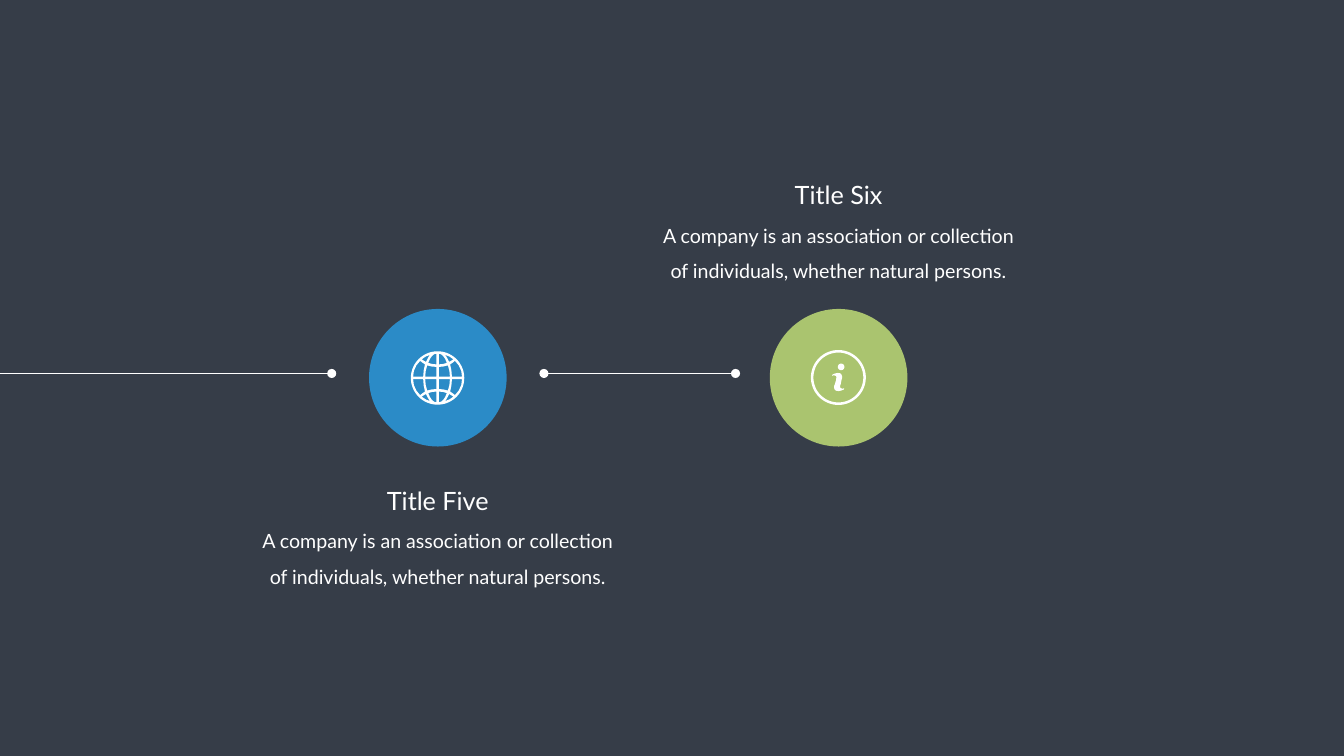
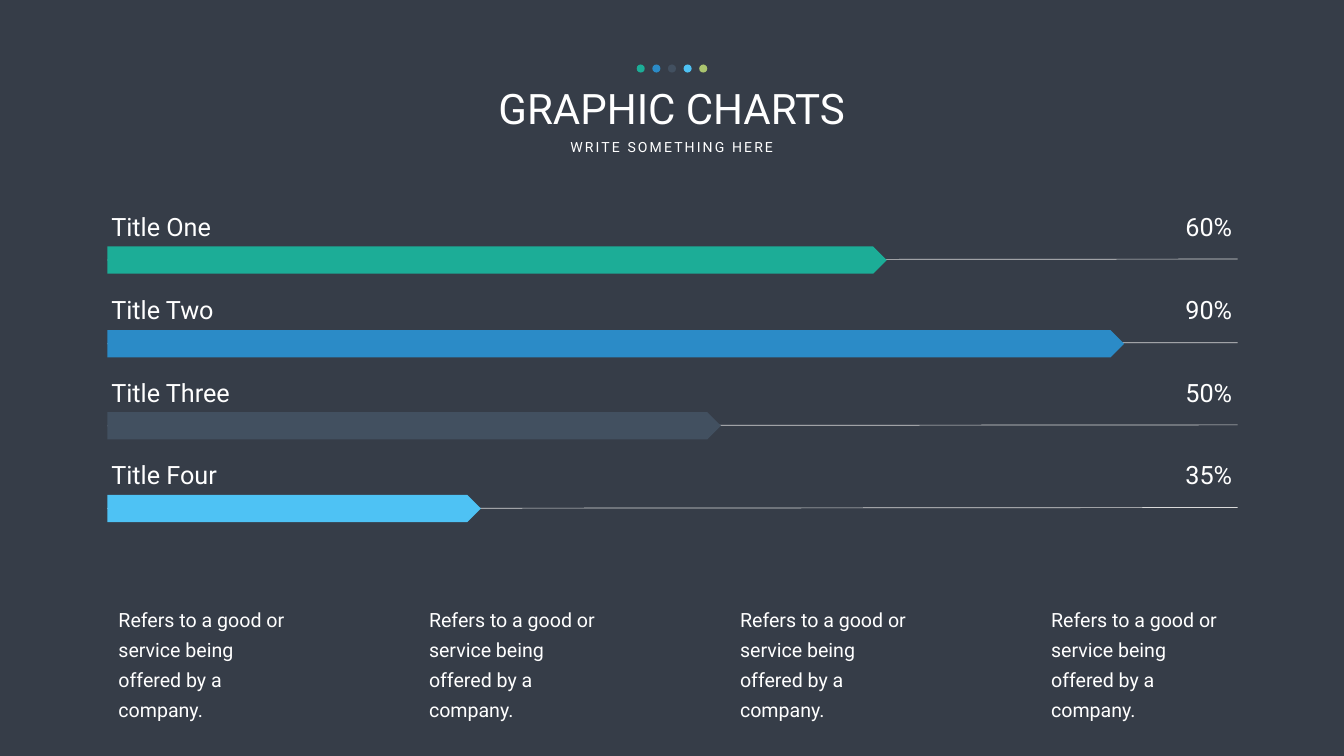
import dataclasses
import math

import lxml.etree
import pptx
import pptx.dml.color
import pptx.enum.shapes
import pptx.enum.text
import pptx.oxml.ns
import pptx.util

PX = 9144  # EMU in one px, 100 px to the inch
SHAPE = pptx.enum.shapes.MSO_SHAPE
ALIGN = pptx.enum.text.PP_ALIGN


@dataclasses.dataclass(frozen=True)
class Theme:
    back: str = "363D48"
    white: str = "FFFFFF"
    rule: str = "D9D9D9"
    green: str = "1CAD97"
    blue: str = "2B8BC7"
    slate: str = "425060"
    sky: str = "4EC2F4"
    lime: str = "AAC46F"
    lato: str = "Lato"
    roboto: str = "Roboto"
    head: int = 60
    label: int = 36
    body: int = 28
    small: int = 20


THEME = Theme()


def paint(fill, color):
    fill.solid()
    fill.fore_color.rgb = pptx.dml.color.RGBColor.from_string(color)


def write(frame, text, *, size, font, color=THEME.white, align=ALIGN.LEFT,
          wrap=True, lead=None, track=0, pad=(10, 5)):
    """Fill a text frame; lead is line spacing, track is letter spacing in points."""
    frame.word_wrap = wrap
    frame.auto_size = pptx.enum.text.MSO_AUTO_SIZE.SHAPE_TO_FIT_TEXT
    frame.vertical_anchor = pptx.enum.text.MSO_ANCHOR.TOP
    frame.margin_left = frame.margin_right = pad[0] * PX
    frame.margin_top = frame.margin_bottom = pad[1] * PX
    para = frame.paragraphs[0]
    para.alignment = align
    if lead:
        para.line_spacing = lead
    run = para.add_run()
    run.text = text
    run.font.size = pptx.util.Pt(size)
    run.font.name = font
    run.font.color.rgb = pptx.dml.color.RGBColor.from_string(color)
    if track:
        run._r.get_or_add_rPr().set("spc", str(track * 100))


class Deck:
    """Holds the theme and the slide being drawn."""

    def __init__(self, wide, high):
        self.theme = THEME
        self.show = pptx.Presentation()
        self.show.slide_width = wide * PX
        self.show.slide_height = high * PX
        paint(self.show.slide_master.background.fill, self.theme.back)
        self.slide = None

    def page(self, layout):
        form = self.show.slide_layouts.get_by_name(layout)
        self.slide = self.show.slides.add_slide(form)

    def title(self, text, left, top, wide, high):
        box = self.slide.shapes.title
        box.left, box.top, box.width, box.height = (
            n * PX for n in (left, top, wide, high))
        write(box.text_frame, text, size=self.theme.head,
              font=self.theme.roboto, align=ALIGN.CENTER)

    def text(self, text, left, top, wide, high, **style):
        box = self.slide.shapes.add_textbox(
            *(n * PX for n in (left, top, wide, high)))
        write(box.text_frame, text, **style)

    def shape(self, kind, left, top, wide, high, color):
        item = self.slide.shapes.add_shape(
            kind, *(n * PX for n in (left, top, wide, high)))
        return self.finish(item, color)

    def dot(self, left, top, size, color):
        self.shape(SHAPE.OVAL, left, top, size, size, color)

    def line(self, x1, y1, x2, y2, color):
        item = self.slide.shapes.add_connector(
            pptx.enum.shapes.MSO_CONNECTOR.STRAIGHT,
            *(n * PX for n in (x1, y1, x2, y2)))
        item.line.width = pptx.util.Pt(1)
        paint(item.line.fill, color)
        lxml.etree.SubElement(item._element.spPr, pptx.oxml.ns.qn("a:effectLst"))
        return item

    def icon(self, mid, row, loops, color):
        """Draw closed loops, given in tenths of a px around (mid, row); inner loops are holes."""
        pen = self.slide.shapes.build_freeform(*loops[0][0], scale=PX / 10)
        for loop in loops:
            if loop is not loops[0]:
                pen.move_to(*loop[0])
            pen.add_line_segments(loop[1:], close=True)
        self.finish(pen.convert_to_shape(mid * PX, row * PX), color)

    def finish(self, item, color):
        paint(item.fill, color)
        item.line.fill.background()
        item.shadow.inherit = False
        return item


def ring(size, x=0, y=0, steps=72):
    """Points of a circle of radius size around (x, y)."""
    turns = [math.tau * n / steps for n in range(steps)]
    return [(x + size * math.cos(a), y + size * math.sin(a)) for a in turns]


def globe():
    """Outer disc with four window panes cut out of each quarter."""
    panes = [
        [(25, 25), (245, 25), (235, 140), (205, 250), (115, 227), (25, 220)],
        [(25, 270), (110, 278), (185, 300), (150, 380), (110, 437), (70, 470),
         (25, 482)],
        [(345, 340), (300, 303), (250, 270), (275, 150), (285, 25), (485, 25),
         (470, 140), (420, 250)],
        [(145, 460), (175, 425), (225, 330), (235, 320), (315, 370), (235, 425)],
    ]
    return [ring(530)] + [
        [(x * flip, y * turn) for x, y in pane]
        for flip in (1, -1) for turn in (1, -1) for pane in panes]


def info():
    stem = [(75, 220), (45, 210), (35, 190), (35, 160), (45, 140), (65, 40),
            (75, 10), (75, -20), (55, -70), (25, -87), (-15, -90), (-65, -80),
            (-115, -60), (-125, -30), (-105, -40), (-75, -40), (-45, -30),
            (-40, -10), (-42, 20), (-45, 50), (-75, 150), (-85, 170),
            (-85, 200), (-80, 225), (-65, 250), (-35, 265), (5, 270),
            (55, 260), (105, 240), (115, 210), (95, 220)]
    return [ring(545), ring(495), ring(65, 55, -210), stem]


def steps(deck):
    look = deck.theme
    note = ("A company is an association or collection of individuals, "
            "whether natural persons.")
    style = dict(font=look.lato, align=ALIGN.CENTER)
    deck.page("Blank")
    for start, end in ((662, 0), (1450, 1079)):
        deck.line(start, 741, end, 741, look.white)
    for left in (649, 1070, 1450):
        deck.dot(left, 732, 18, look.white)
    size = 273
    for name, left, top, wide, color, row, loops in (
            ("Title Five", 732, 958, 229, look.blue, 750, globe()),
            ("Title Six", 1527, 351, 201, look.lime, 749, info())):
        mid = left + size // 2
        deck.text(note, mid - 363, top + 64, 726, 142,
                  size=look.body, lead=1.5, **style)
        deck.text(name, mid - wide // 2, top, wide, 71,
                  size=look.label, wrap=False, **style)
        deck.dot(left, 613, size, color)
        deck.icon(mid, row, loops, look.white)


def charts(deck):
    look = deck.theme
    hues = (look.green, look.blue, look.slate, look.sky, look.lime)
    deck.page("Title Only")
    deck.title("GRAPHIC CHARTS", 770, 159, 1125, 111)
    deck.text("WRITE SOMETHING HERE", 1115, 270, 435, 44, size=look.small,
              font=look.roboto, align=ALIGN.CENTER, wrap=False, track=3)
    for spot, color in enumerate(hues):
        deck.dot(1263 + 31 * spot, 128, 16, color)

    rows = (("Title One", "60%", 489, 1546), ("Title Two", "90%", 655, 2017),
            ("Title Three", "50%", 818, 1217), ("Title Four", "35%", 982, 741))
    style = dict(size=look.label, font=look.roboto)
    for (name, share, top, wide), color in zip(rows, hues):
        rule = deck.line(213, top + 27, 2455, top + 25, look.rule)
        deck.text(name, 211, top - 75, 534, 63, **style)
        deck.text(share, 2230, top - 75, 224, 63, align=ALIGN.RIGHT, **style)
        bar = deck.shape(SHAPE.PENTAGON, 213, top, wide, 54, color)
        rule.begin_connect(bar, 1)

    for col in range(4):
        deck.text("Refers to a good or service being offered by a company.",
                  211 + 1850 * col // 3, 1181, 408, 200, size=look.body,
                  font=look.roboto, lead=pptx.util.Pt(43), pad=(24, 12))


def main():
    deck = Deck(2666, 1500)
    steps(deck)
    charts(deck)
    deck.show.save("out.pptx")


if __name__ == "__main__":
    main()
